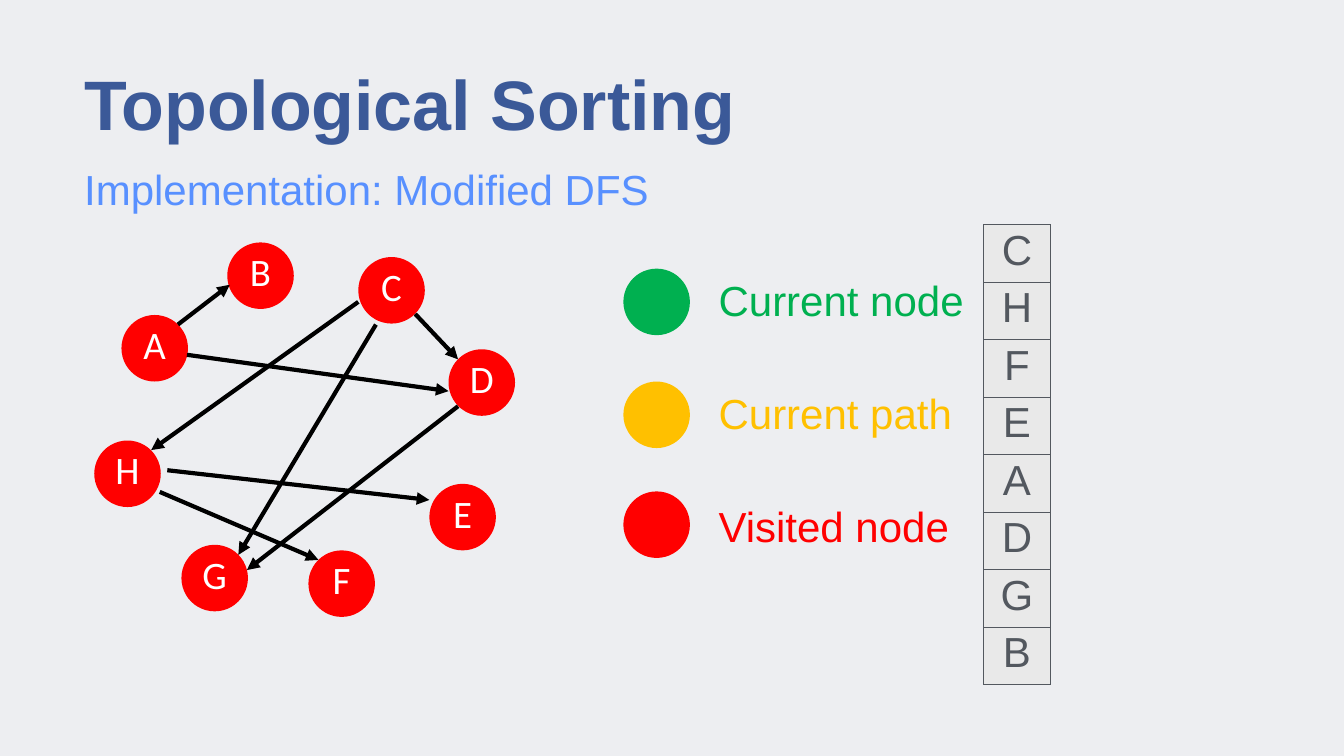
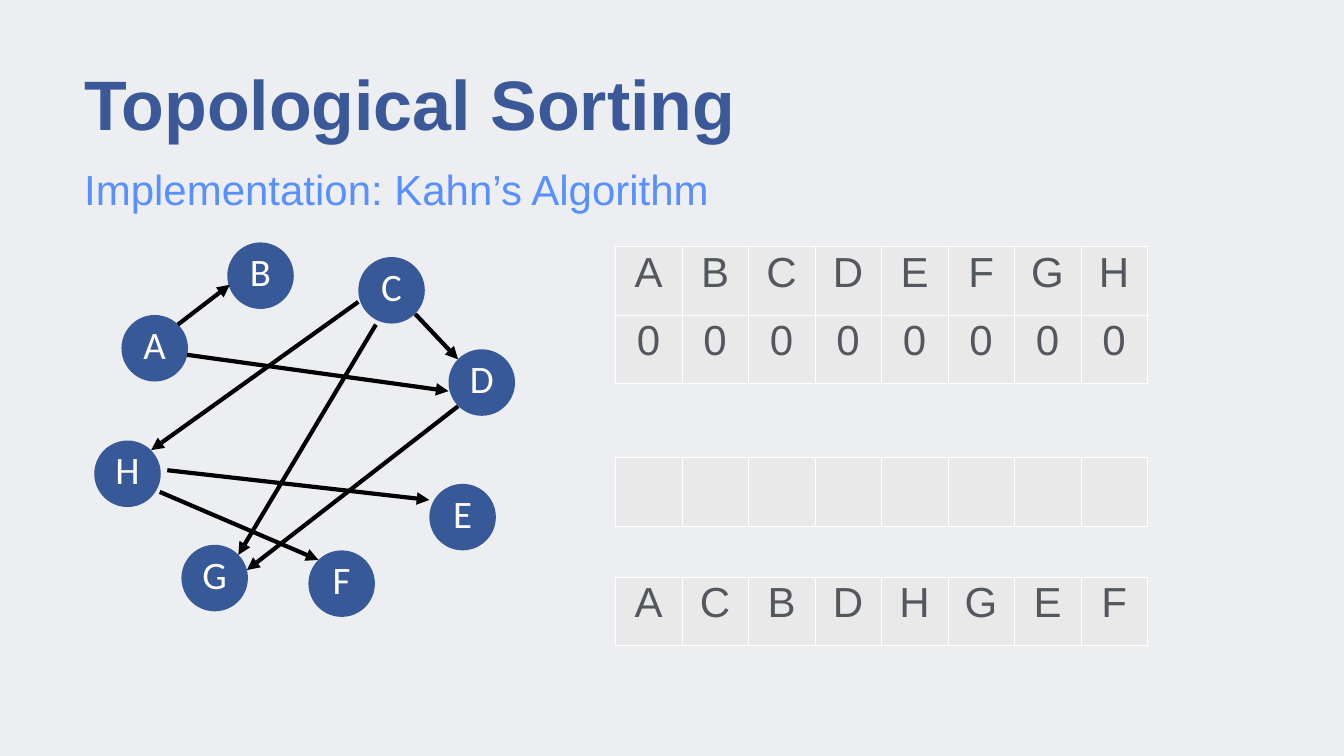
from dataclasses import dataclass
from lxml import etree
from pptx import Presentation
from pptx.dml.color import RGBColor
from pptx.enum.shapes import MSO_CONNECTOR, MSO_SHAPE
from pptx.enum.text import MSO_ANCHOR, PP_ALIGN
from pptx.oxml.ns import qn
from pptx.util import Pt

SCALE = 9144
OVAL = MSO_SHAPE.OVAL
LINE = MSO_CONNECTOR.STRAIGHT
MIDDLE = MSO_ANCHOR.MIDDLE
LEFT, CENTER = PP_ALIGN.LEFT, PP_ALIGN.CENTER


@dataclass(frozen=True)
class Theme:
    back: str = "EDEEF1"
    title: str = "3B5998"
    sub: str = "5890FF"
    node: str = "385998"
    now: str = "00B050"
    trail: str = "FFC000"
    seen: str = "FF0000"
    edge: str = "000000"
    white: str = "FFFFFF"
    ink: str = "53585F"
    cell: str = "E9E9E9"
    font: str = "Arial"
    label: str = "Calibri"
    head: float = 100
    body: float = 60
    mark: float = 55.5


THEME = Theme()
SIZE = 132
NODES = {
    "A": (241, 625), "B": (451, 481), "C": (711, 510), "H": (187, 874),
    "G": (360, 1081), "F": (612, 1092), "E": (852, 960), "D": (890, 693),
}
EDGES = [
    (353, 644, 456, 565),
    (371, 704, 890, 776),
    (824, 623, 909, 713),
    (746, 644, 473, 1101),
    (332, 933, 852, 992),
    (317, 976, 632, 1111),
    (909, 806, 490, 1131),
    (711, 599, 300, 893),
]
LEGEND = [
    ("Current node", THEME.now, 533),
    ("Current path", THEME.trail, 757),
    ("Visited node", THEME.seen, 975),
]


def px(*vals):
    return [val * SCALE for val in vals]


def rgb(code):
    return RGBColor.from_string(code)


def apply(item, form):
    for key, val in form.items():
        setattr(item, key, val)


def paint(item, color):
    item.fill.solid()
    item.fill.fore_color.rgb = rgb(color)


def write(par, text, color, size=THEME.body, font=THEME.font, bold=False, **form):
    apply(par, form)
    run = par.add_run()
    run.text = text
    apply(run.font, {"size": Pt(size), "name": font, "bold": bold})
    run.font.color.rgb = rgb(color)


def frame(item, pad=0):
    text = item.text_frame
    sides = ("left", "top", "right", "bottom")
    apply(text, {f"margin_{side}": pad * SCALE for side in sides})
    apply(text, {"word_wrap": True, "vertical_anchor": MIDDLE})
    return text


def box(slide, *area):
    return frame(slide.shapes.add_textbox(*px(*area)))


def dot(slide, left, top, color, text=""):
    oval = slide.shapes.add_shape(OVAL, *px(left, top, SIZE, SIZE))
    oval.shadow.inherit = False
    paint(oval, color)
    oval.line.fill.background()
    if text:
        par = frame(oval, 8).paragraphs[0]
        write(par, text, THEME.white, THEME.mark, THEME.label,
              alignment=CENTER, line_spacing=0.8)


def arrow(slide, ends):
    edge = slide.shapes.add_connector(LINE, *px(*ends))
    edge.line.width = Pt(6)
    edge.line.color.rgb = rgb(THEME.edge)
    etree.SubElement(edge.line._get_or_add_ln(), qn("a:tailEnd"), type="triangle")
    etree.SubElement(edge._element.spPr, qn("a:effectLst"))


def graph(slide, color):
    for name, (left, top) in NODES.items():
        dot(slide, left, top, color, name)
    for ends in EDGES:
        arrow(slide, ends)


def border(cell, color):
    props = cell._tc.get_or_add_tcPr()
    for side in "LRTB":
        line = etree.SubElement(props, qn(f"a:ln{side}"), w=str(Pt(1)))
        fill = etree.SubElement(line, qn("a:solidFill"))
        etree.SubElement(fill, qn("a:srgbClr"), val=color)


def grid(slide, left, top, rows, high, rule):
    count, wide = len(rows), len(rows[0])
    area = px(left, top, wide * SIZE, count * high)
    table = slide.shapes.add_table(count, wide, *area).table
    apply(table, {"first_row": False, "horz_banding": False})
    for col in table.columns:
        col.width = SIZE * SCALE
    for row, texts in zip(table.rows, rows):
        row.height = high * SCALE
        for cell, text in zip(row.cells, texts):
            border(cell, rule)
            paint(cell, THEME.cell)
            if text:
                write(cell.text_frame.paragraphs[0], text, THEME.ink, alignment=CENTER)


def legend(slide):
    text = box(slide, 1426, 536, 500, 555)
    for step, (name, color, top) in enumerate(LEGEND):
        dot(slide, 1237, top, color)
        par = text.add_paragraph() if step else text.paragraphs[0]
        write(par, name, color, alignment=LEFT, line_spacing=1.1,
              space_before=Pt(82 if step else 0))


def page(deck, topic):
    slide = deck.slides.add_slide(deck.slide_layouts[6])
    paint(slide.background, THEME.back)
    head = box(slide, 167, 114, 2333, 201).paragraphs[0]
    write(head, "Topological Sorting", THEME.title, THEME.head, bold=True, line_spacing=0.9)
    sub = box(slide, 167, 319, 2333, 122).paragraphs[0]
    write(sub, f"Implementation: {topic}", THEME.sub, line_spacing=0.9)
    return slide


def search(deck):
    slide = page(deck, "Modified DFS")
    graph(slide, THEME.seen)
    legend(slide)
    grid(slide, 1952, 446, list("CHFEADGB"), 114, THEME.ink)


def kahn(deck):
    slide = page(deck, "Kahn’s Algorithm")
    graph(slide, THEME.node)
    blank = [""] * len(NODES)
    for top, rows in [(489, ["ABCDEFGH", "0" * 8]), (908, [blank]), (1145, ["ACBDHGEF"])]:
        grid(slide, 1221, top, rows, 136, THEME.white)


def main():
    deck = Presentation()
    deck.slide_width, deck.slide_height = px(2667, 1500)
    search(deck)
    kahn(deck)
    deck.save("out.pptx")


if __name__ == "__main__":
    main()
